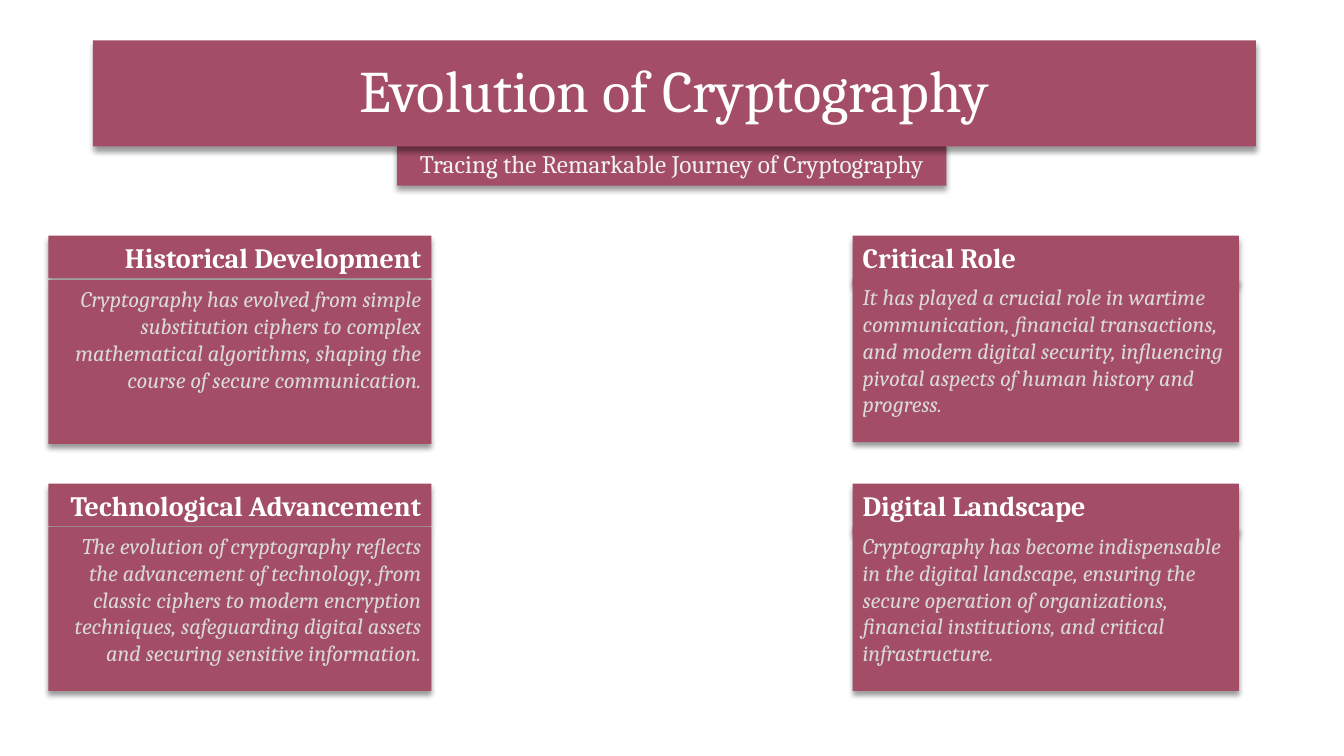
from lxml import etree
from pptx import Presentation
from pptx import util as u
from pptx.dml.color import RGBColor
from pptx.enum import text
from pptx.oxml import ns

LEFT, CENTER, RIGHT = (text.PP_ALIGN.LEFT, text.PP_ALIGN.CENTER,
                       text.PP_ALIGN.RIGHT)


def colour(hex_code):
    return RGBColor.from_string(hex_code)


class CryptographySlide:
    """Holds the style and the current slide."""

    font = "Cambria"
    plum = "A34D66"
    title_format = {"size": u.Pt(42), "bold": False}
    subtitle_format = {"size": u.Pt(18)}
    heading_format = {"size": u.Pt(20), "bold": True}
    body_format = {"size": u.Pt(16), "italic": True}
    body_height = 4.13

    def __init__(self, deck):
        self.slide = deck.slides.add_slide(deck.slide_layouts[5])

    def add_shadow(self, panel):
        effects = etree.SubElement(panel.element.spPr, ns.qn("a:effectLst"))
        shadow = etree.SubElement(
            effects, ns.qn("a:outerShdw"), blurRad=str(u.Pt(4)),
            dist=str(u.Pt(3)), dir="5400000", algn="t", rotWithShape="0")
        black = etree.SubElement(shadow, ns.qn("a:srgbClr"), val="000000")
        etree.SubElement(black, ns.qn("a:alpha"), val="40000")

    def format_panel(self, panel, words, ink, align, font_format,
                     anchor=text.MSO_ANCHOR.TOP):
        panel.fill.solid()
        panel.fill.fore_color.rgb = colour(self.plum)
        panel.line.fill.background()
        self.add_shadow(panel)

        frame = panel.text_frame
        frame.text = words
        frame.word_wrap = True
        frame.auto_size = text.MSO_AUTO_SIZE.NONE
        frame.vertical_anchor = anchor
        paragraph = frame.paragraphs[0]
        paragraph.alignment = align
        font = paragraph.runs[0].font
        font.name = self.font
        font.color.rgb = colour(ink)
        for attribute, value in font_format.items():
            setattr(font, attribute, value)
        return panel

    def add_panel(self, box, *content):
        panel = self.slide.shapes.add_textbox(*map(u.Cm, box))
        return self.format_panel(panel, *content)

    def add_title(self, box, words):
        title = self.slide.shapes.title
        title.left, title.top, title.width, title.height = map(u.Cm, box)
        self.format_panel(title, words, "FFFFFF", CENTER, self.title_format,
                          text.MSO_ANCHOR.MIDDLE)
        title.text_frame.paragraphs[0].line_spacing = 0.9
        return title

    def add_subtitle(self, box, words):
        return self.add_panel(box, words, "F2F2F2", CENTER,
                              self.subtitle_format)

    def add_card(self, column, row, body_top, heading, body):
        left, width, heading_height, align = column
        top, body_ink = row
        self.add_panel((left, top, width, heading_height),
                       heading, "FFFFFF", align, self.heading_format)
        self.add_panel((left, body_top, width, self.body_height),
                       body, body_ink, align, self.body_format)


def main():
    deck = Presentation()
    deck.slide_width, deck.slide_height = u.Cm(33.87), u.Cm(19.05)
    page = CryptographySlide(deck)

    # Title banner, overlapping the subtitle tab below it
    subtitle = page.add_subtitle((10.01, 3.61, 13.84, 1.07),
                                 "Tracing the Remarkable Journey of Cryptography")
    title = page.add_title((2.34, 1.02, 29.31, 2.67), "Evolution of Cryptography")
    subtitle.element.addnext(title.element)

    # Columns: left, width, heading height, alignment; rows: top, body colour
    history_side = (1.22, 9.65, 1.07, RIGHT)
    impact_side = (21.49, 9.73, 1.24, LEFT)
    upper, lower = (5.94, "D9D9D9"), (12.19, "D8D8D8")

    # Four cards
    cards = [
        (history_side, upper, 7.06, "Historical Development",
         "Cryptography has evolved from simple substitution ciphers to complex "
         "mathematical algorithms, shaping the course of secure communication."),
        (impact_side, upper, 7.01, "Critical Role",
         "It has played a crucial role in wartime communication, financial "
         "transactions, and modern digital security, influencing pivotal "
         "aspects of human history and progress."),
        (history_side, lower, 13.28, "Technological Advancement",
         "The evolution of cryptography reflects the advancement of technology, "
         "from classic ciphers to modern encryption techniques, safeguarding "
         "digital assets and securing sensitive information."),
        (impact_side, lower, 13.28, "Digital Landscape",
         "Cryptography has become indispensable in the digital landscape, "
         "ensuring the secure operation of organizations, financial "
         "institutions, and critical infrastructure."),
    ]
    for card in cards:
        page.add_card(*card)

    deck.save("out.pptx")


if __name__ == "__main__":
    main()
